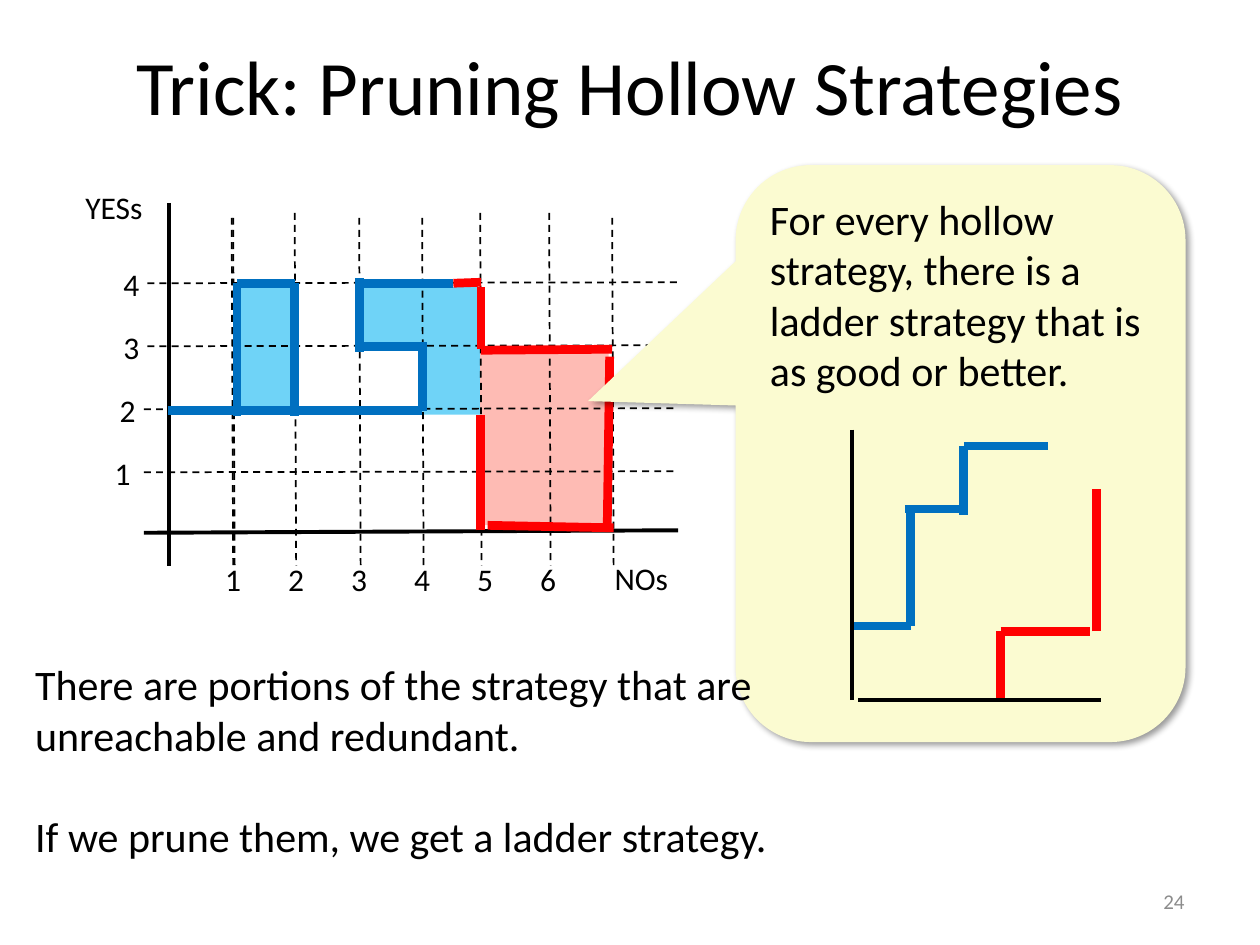
from lxml.etree import SubElement
from pptx import Presentation
from pptx.dml.color import RGBColor
from pptx.enum.dml import MSO_LINE
from pptx.enum.shapes import MSO_CONNECTOR, MSO_SHAPE
from pptx.enum.text import MSO_ANCHOR, MSO_AUTO_SIZE, PP_ALIGN
from pptx.oxml import parse_xml
from pptx.oxml.ns import nsdecls, qn
from pptx.util import Cm, Pt

theme = {
    "font": "Calibri",
    "black": RGBColor(0x00, 0x00, 0x00),
    "grey": RGBColor(0x8C, 0x8C, 0x8C),
    "blue": RGBColor(0x00, 0x70, 0xC0),
    "red": RGBColor(0xFF, 0x00, 0x00),
    "sky": RGBColor(0x6F, 0xD3, 0xF7),
    "pink": RGBColor(0xFE, 0xBB, 0xB4),
    "cream": RGBColor(0xFB, 0xFB, 0xD1),
    "title": Pt(44), "body": Pt(24), "label": Pt(18), "small": Pt(12),
    "path": Pt(5), "axis": Pt(2.25), "grid": Pt(1),
}

deck = Presentation()
deck.slide_width, deck.slide_height = Cm(25.4), Cm(19.05)
slide = deck.slides.add_slide(deck.slide_layouts[5])
shapes = slide.shapes


def draw(ends, ink, width, dash=None):
    line = shapes.add_connector(MSO_CONNECTOR.STRAIGHT, *map(Cm, ends))
    line.line.color.rgb = theme[ink]
    line.line.width = theme[width]
    if dash:
        line.line.dash_style = dash
    SubElement(line._element.spPr, qn("a:effectLst"))


def write(box, lines, size, ink="black", align=PP_ALIGN.LEFT, **frame):
    text = box.text_frame
    text.text = "\n".join(lines)
    for key, value in frame.items():
        setattr(text, key, value)
    look = {"name": theme["font"], "size": theme[size]}
    for para in text.paragraphs:
        para.alignment = align
        for key, value in look.items():
            setattr(para.font, key, value)
        para.font.color.rgb = theme[ink]


# Shaded regions
for ink, spot in [
    ("sky", (8.51, 6.96, 1.17, 1.4)),
    ("pink", (9.68, 7.06, 2.59, 3.53)),
    ("sky", (7.26, 5.79, 2.44, 1.17)),
    ("sky", (4.8, 5.79, 1.07, 2.49)),
]:
    area = shapes.add_shape(MSO_SHAPE.RECTANGLE, *map(Cm, spot))
    area.fill.solid()
    area.fill.fore_color.rgb = theme[ink]
    area.line.fill.background()
    area.shadow.inherit = False

# Title and page number
title = shapes.title
spot = {"left": Cm(1.27), "top": Cm(0.38), "width": Cm(22.86), "height": Cm(2.67)}
for key, value in spot.items():
    setattr(title, key, value)
write(title, ["Trick: Pruning Hollow Strategies"], "title",
      align=PP_ALIGN.CENTER, vertical_anchor=MSO_ANCHOR.MIDDLE)
page = shapes.add_textbox(Cm(18.21), Cm(17.65), Cm(5.92), Cm(1.02))
write(page, ["24"], "small", "grey", PP_ALIGN.RIGHT,
      vertical_anchor=MSO_ANCHOR.MIDDLE, word_wrap=True)

# Main axes and dashed grid
step = 1.27
draw((3.4, 4.09, 3.4, 11.4), "black", "axis")
draw((2.9, 10.74, 13.67, 10.69), "black", "axis")
for x, top in [(4.67, 4.39), (4.7, 4.39), (5.94, 4.29), (7.24, 4.39),
               (8.51, 4.39), (9.68, 4.29), (11.07, 4.29), (12.34, 4.39)]:
    draw((x, top, x + 0.03, 11.4), "black", "grid", MSO_LINE.DASH)
for row in range(4):
    y = 5.71 + step * row
    left = 2.97 if row < 2 else 2.9
    draw((left, y, 13.67, y - 0.02), "black", "grid", MSO_LINE.DASH)

# Axis labels
labels = [(str(n + 1), 4.29 + step * n, 11.16, 0.84) for n in range(6)]
labels += [(str(4 - n), x, 5.21 + step * n, 0.84)
           for n, x in enumerate((2.24, 2.24, 2.16, 2.06))]
labels += [("NOs", 12.14, 11.15, 2.08), ("YESs", 1.47, 3.66, 2.46)]
for word, x, y, wide in labels:
    box = shapes.add_textbox(Cm(x), Cm(y), Cm(wide), Cm(1.02))
    write(box, [word], "label", word_wrap=False,
          auto_size=MSO_AUTO_SIZE.SHAPE_TO_FIT_TEXT)

# Hollow strategy
for ink, paths in {
    "blue": [
        (4.78, 8.38, 4.78, 5.71), (3.38, 8.28, 4.67, 8.28),
        (5.94, 8.38, 5.94, 5.71), (4.78, 5.71, 5.94, 5.71),
        (6.05, 8.28, 8.51, 8.28), (8.51, 8.28, 8.51, 6.98),
        (7.34, 6.98, 8.61, 6.98), (7.24, 7.09, 7.24, 5.61),
        (7.34, 5.71, 9.14, 5.71), (4.5, 8.28, 6.2, 8.28),
    ],
    "red": [
        (9.83, 10.59, 12.37, 10.64), (12.24, 10.69, 12.29, 7.19),
        (9.7, 7.06, 12.34, 7.04), (9.14, 5.71, 9.7, 5.69),
        (9.7, 7.04, 9.7, 5.79), (9.68, 10.69, 9.68, 8.36),
    ],
}.items():
    for ends in paths:
        draw(ends, ink, "path")

# Callout with soft shadow
note = shapes.add_shape(MSO_SHAPE.ROUNDED_RECTANGULAR_CALLOUT,
                        Cm(14.83), Cm(3.33), Cm(9.07), Cm(11.63))
for spot, value in enumerate((-0.828, -0.091, 0.167)):
    note.adjustments[spot] = value
note.fill.solid()
note.fill.fore_color.rgb = theme["cream"]
note.line.fill.background()
note._element.spPr.append(parse_xml(
    f'<a:effectLst {nsdecls("a")}>'
    '<a:outerShdw blurRad="50800" dist="38100" dir="2700000" algn="tl" rotWithShape="0">'
    '<a:srgbClr val="000000"><a:alpha val="40000"/></a:srgbClr>'
    '</a:outerShdw></a:effectLst>'))
write(note, ["For every hollow strategy, there is a ladder strategy that is as good or better."],
      "body", vertical_anchor=MSO_ANCHOR.TOP, word_wrap=True)

# Ladder strategy inside the callout
for ink, width, paths in [
    ("blue", "path", [
        (17.17, 12.62, 18.36, 12.62), (18.36, 12.62, 18.36, 10.26),
        (18.24, 10.26, 19.43, 10.26), (19.43, 8.99, 19.43, 10.39),
        (19.43, 8.99, 21.13, 8.99)]),
    ("red", "path", [
        (20.17, 14.12, 20.17, 12.73), (20.17, 12.73, 21.97, 12.73),
        (22.1, 12.73, 22.1, 9.86)]),
    ("black", "axis", [
        (17.17, 8.66, 17.17, 14.12), (17.3, 14.12, 22.2, 14.12)]),
]:
    for ends in paths:
        draw(ends, ink, width)

# Closing remarks
box = shapes.add_textbox(Cm(0.46), Cm(13.16), Cm(15.29), Cm(5.38))
write(box, ["There are portions of the strategy that are unreachable and redundant.",
            "If we prune them, we get a ladder strategy."],
      "body", word_wrap=True, auto_size=MSO_AUTO_SIZE.SHAPE_TO_FIT_TEXT)
box.text_frame.paragraphs[1].space_before = Pt(29)

deck.save("out.pptx")
